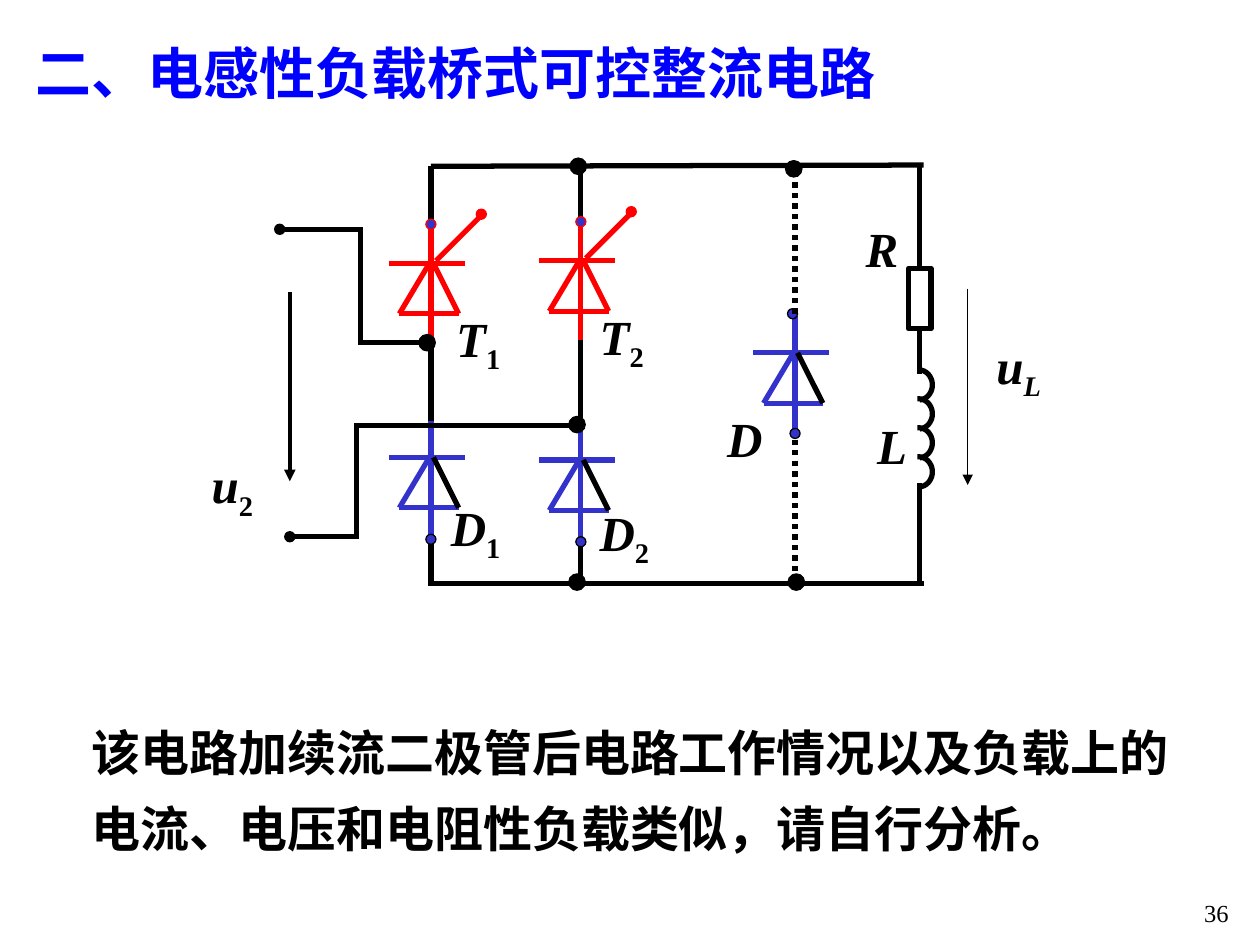
from math import cos, radians, sin

from pptx import Presentation
from pptx.dml.color import RGBColor
from pptx.enum.dml import MSO_LINE
from pptx.enum.shapes import MSO_CONNECTOR, MSO_SHAPE
from pptx.enum.text import MSO_ANCHOR, PP_ALIGN
from pptx.oxml.ns import qn
from pptx.util import Inches, Pt
from lxml import etree

LINE = MSO_CONNECTOR.STRAIGHT
OVAL = MSO_SHAPE.OVAL
RECT = MSO_SHAPE.RECTANGLE
DOTS = MSO_LINE.ROUND_DOT
MID, TOP = MSO_ANCHOR.MIDDLE, MSO_ANCHOR.TOP
LEFT, CENTER, RIGHT = PP_ALIGN.LEFT, PP_ALIGN.CENTER, PP_ALIGN.RIGHT

FONT = "Times New Roman"
HEX = {"black": "000000", "red": "FF0000", "blue": "3333CC", "title": "0000FF"}


def rgb(name):
    return RGBColor.from_string(HEX[name])


def write(box, text, sub="", size=28, color="black", bold=True, italic=False,
          sub_italic=False, align=LEFT, anchor=MID, wrap=False, space=1.0):
    frame = box.text_frame
    frame.word_wrap = wrap
    frame.vertical_anchor = anchor
    para = frame.paragraphs[0]
    para.alignment = align
    para.line_spacing = space
    for part, slant in ((text, italic), (sub, sub_italic)):
        if not part:
            continue
        run = para.add_run()
        run.text = part
        font = run.font
        font.name, font.size, font.bold, font.italic = FONT, Pt(size), bold, slant
        font.color.rgb = rgb(color)
        if part is sub:
            run._r.get_or_add_rPr().set("baseline", "-25000")


def text_box(slide, x, y, w, h, text, **form):
    box = slide.shapes.add_textbox(Inches(x), Inches(y), Inches(w), Inches(h))
    write(box, text, **form)


def label(slide, x, y, text, sub="", w=0.55, align=CENTER, **form):
    text_box(slide, x, y, w, 0.63 if sub else 0.57, text, sub=sub, italic=True,
             align=align, **form)


def wire(slide, x, y, ends, color="black", width=3, dash=None, arrow=False):
    x1, y1, x2, y2 = ends
    link = slide.shapes.add_connector(
        LINE, Inches(x + x1), Inches(y + y1), Inches(x + x2), Inches(y + y2))
    link.line.color.rgb = rgb(color)
    link.line.width = Pt(width)
    if dash:
        link.line.dash_style = dash
    if arrow:
        tail = etree.SubElement(link.line._get_or_add_ln(), qn("a:tailEnd"))
        tail.set("type", "triangle")
    etree.SubElement(link._element.spPr, qn("a:effectLst"))
    return link


def dot(slide, x, y, size=0.08, fill="black", edge="black"):
    ball = slide.shapes.add_shape(
        OVAL, Inches(x - size / 2), Inches(y - size / 2), Inches(size), Inches(size))
    ball.shadow.inherit = False
    ball.fill.solid()
    ball.fill.fore_color.rgb = rgb(fill)
    ball.line.color.rgb = rgb(edge)
    ball.line.width = Pt(0.75)


def nodes(slide, x, y, spots):
    for dx, dy in spots:
        dot(slide, x + dx, y + dy, size=0.13)


def diode(slide, x, y, color="blue", side="black"):
    for ends in ((-0.33, 0, 0.27, 0), (0, -0.02, -0.25, 0.4),
                 (-0.25, 0.4, 0.22, 0.4), (0, -0.29, 0, 0.63)):
        wire(slide, x, y, ends, color)
    wire(slide, x, y, (0.02, 0, 0.22, 0.4), side)


def gated(slide, x, y):
    diode(slide, x, y, "red", "red")
    wire(slide, x, y, (0.04, -0.02, 0.39, -0.37), "red")
    dot(slide, x + 0.4, y - 0.39, fill="red", edge="red")
    dot(slide, x, y - 0.31, fill="blue", edge="red")


def bridge(slide, x, y):
    for dx, up, low in ((0, 0.77, 2.31), (1.19, 0.75, 2.33)):
        for start, end in ((0, up - 0.31), (up + 0.63, low - 0.28),
                           (low + 0.65, 3.31)):
            wire(slide, x, y, (dx, start, dx, end))
        gated(slide, x + dx, y + up)
        diode(slide, x + dx, y + low)
        dot(slide, x + dx, y + low + 0.65, fill="blue")
    wire(slide, x, y, (0, 0, 3.91, -0.01))
    wire(slide, x, y, (-0.02, 3.31, 3.91, 3.31))
    nodes(slide, x, y, ((-0.03, 1.4), (1.17, 0), (1.16, 2.05), (1.16, 3.3)))
    for dx, dy, text, sub, w in (
            (0.1, 1.08, "T", "1", 0.55), (1.24, 1.06, "T", "2", 0.55),
            (0.06, 2.58, "D", "1", 0.59), (1.24, 2.62, "D", "2", 0.59)):
        label(slide, x + dx, y + dy, text, sub, w)


def source(slide, x, y):
    for ends in ((0.06, 0, 0.68, 0), (0.66, 0, 0.66, 0.92),
                 (0.66, 0.9, 1.18, 0.9), (0.63, 1.56, 2.36, 1.56),
                 (0.63, 1.54, 0.63, 2.46), (0.12, 2.44, 0.63, 2.44)):
        wire(slide, x, y, ends)
    dot(slide, x + 0.02, y)
    dot(slide, x + 0.1, y + 2.44)
    wire(slide, x, y, (0.1, 0.5, 0.1, 2), width=2.25, arrow=True)
    label(slide, x - 0.62, y + 1.74, "u", "2", 0.53)


def coil(slide, x, y, turns=4, step=0.23):
    for turn in range(turns):
        mid = y + step * (turn + 0.5)
        points = [(Inches(x + 0.11 * cos(radians(a))),
                   Inches(mid + 0.12 * sin(radians(a))))
                  for a in range(-95, 86, 10)]
        path = slide.shapes.build_freeform(*points[0])
        path.add_line_segments(points[1:], close=False)
        arc = path.convert_to_shape()
        arc.shadow.inherit = False
        arc.fill.background()
        arc.line.color.rgb = rgb("black")
        arc.line.width = Pt(3)


def load(slide, x, y):
    diode(slide, x, y + 1.48)
    dot(slide, x - 0.02, y + 1.17, fill="blue")
    dot(slide, x, y + 2.12, fill="blue")
    for start, end in ((1.17, 0), (2.17, 3.31)):
        wire(slide, x, y, (0, start, 0, end), dash=DOTS)
    nodes(slide, x, y, ((-0.01, 0.02), (0.01, 3.3)))
    ohm = slide.shapes.add_shape(
        RECT, Inches(x + 0.9), Inches(y + 0.81), Inches(0.18), Inches(0.48))
    ohm.shadow.inherit = False
    ohm.fill.background()
    ohm.line.color.rgb = rgb("black")
    ohm.line.width = Pt(3)
    wire(slide, x, y, (0.99, 0, 0.99, 0.81)).end_connect(ohm, 0)
    wire(slide, x, y, (0.99, 1.29, 0.99, 1.65)).begin_connect(ohm, 2)
    coil(slide, x + 0.98, y + 1.62)
    wire(slide, x, y, (0.99, 2.51, 0.99, 3.31))
    wire(slide, x, y, (1.37, 0.97, 1.37, 2.53), width=0.75, arrow=True)
    label(slide, x - 0.64, y + 1.87, "D", w=0.48)
    label(slide, x + 0.46, y + 0.36, "R", w=0.46)
    label(slide, x + 0.55, y + 1.93, "L", w=0.44)
    label(slide, x + 1.5, y + 1.29, "u", "L", w=0.7, align=LEFT,
          sub_italic=True, wrap=True)


def heading(slide, x, y, w, h):
    title = slide.shapes.title
    title.left, title.top = Inches(x), Inches(y)
    title.width, title.height = Inches(w), Inches(h)
    write(title, "二、电感性负载桥式可控整流电路", size=32, color="title", wrap=True)


def main():
    deck = Presentation()
    deck.slide_width, deck.slide_height = Inches(10), Inches(7.5)
    slide = deck.slides.add_slide(deck.slide_layouts[5])
    heading(slide, 0.18, 0.25, 7.5, 0.64)
    bridge(slide, 3.42, 1.32)
    source(slide, 2.2, 1.82)
    load(slide, 6.31, 1.32)
    text_box(slide, 0.63, 5.54, 8.95, 1.32,
             "该电路加续流二极管后电路工作情况以及负载上的电流、电压和电阻性负载类似，请自行分析。",
             wrap=True, space=1.3)
    text_box(slide, 7.77, 7.08, 2.08, 0.5, "36", size=14, bold=False,
             align=RIGHT, anchor=TOP, wrap=True)
    deck.save("out.pptx")


if __name__ == "__main__":
    main()
